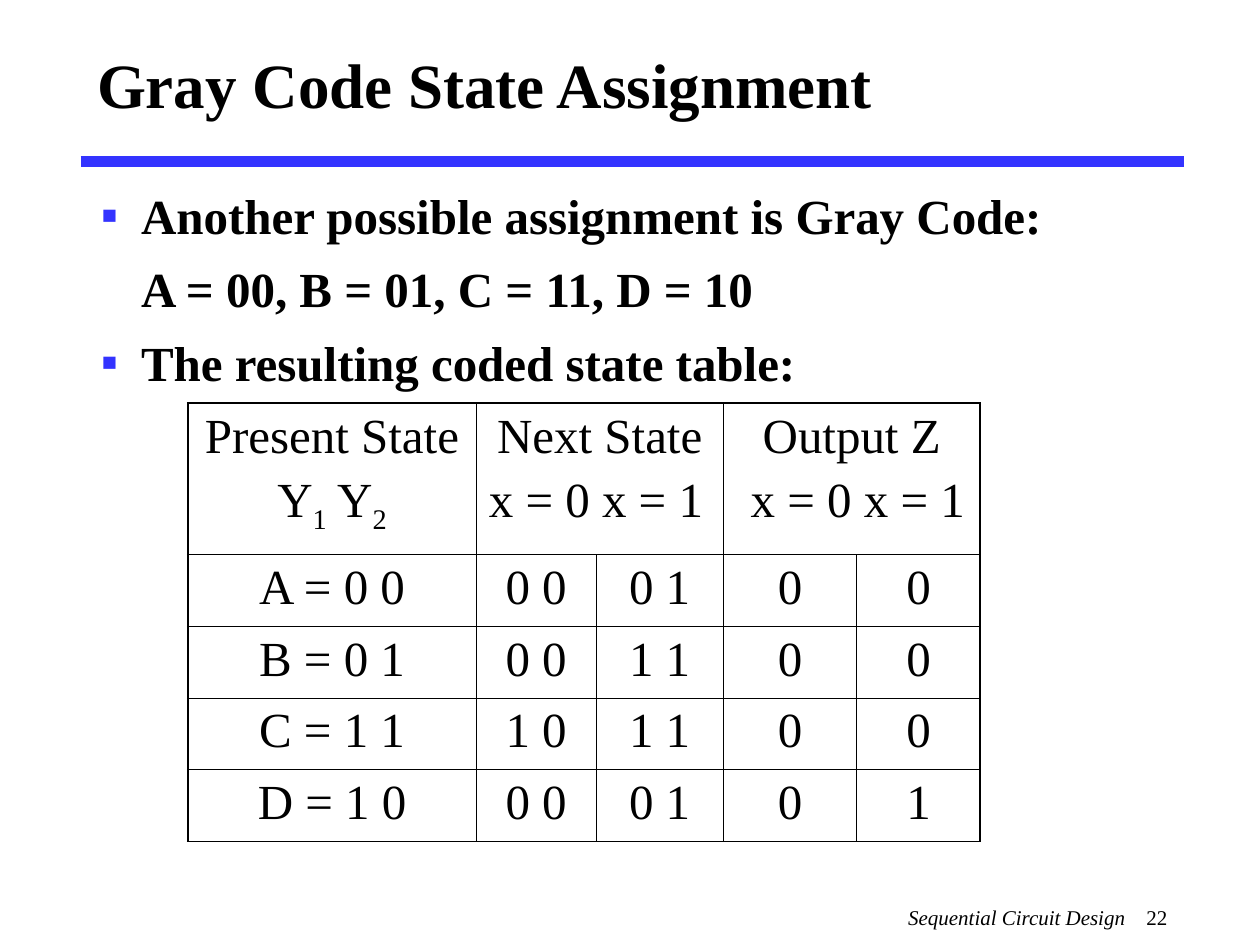
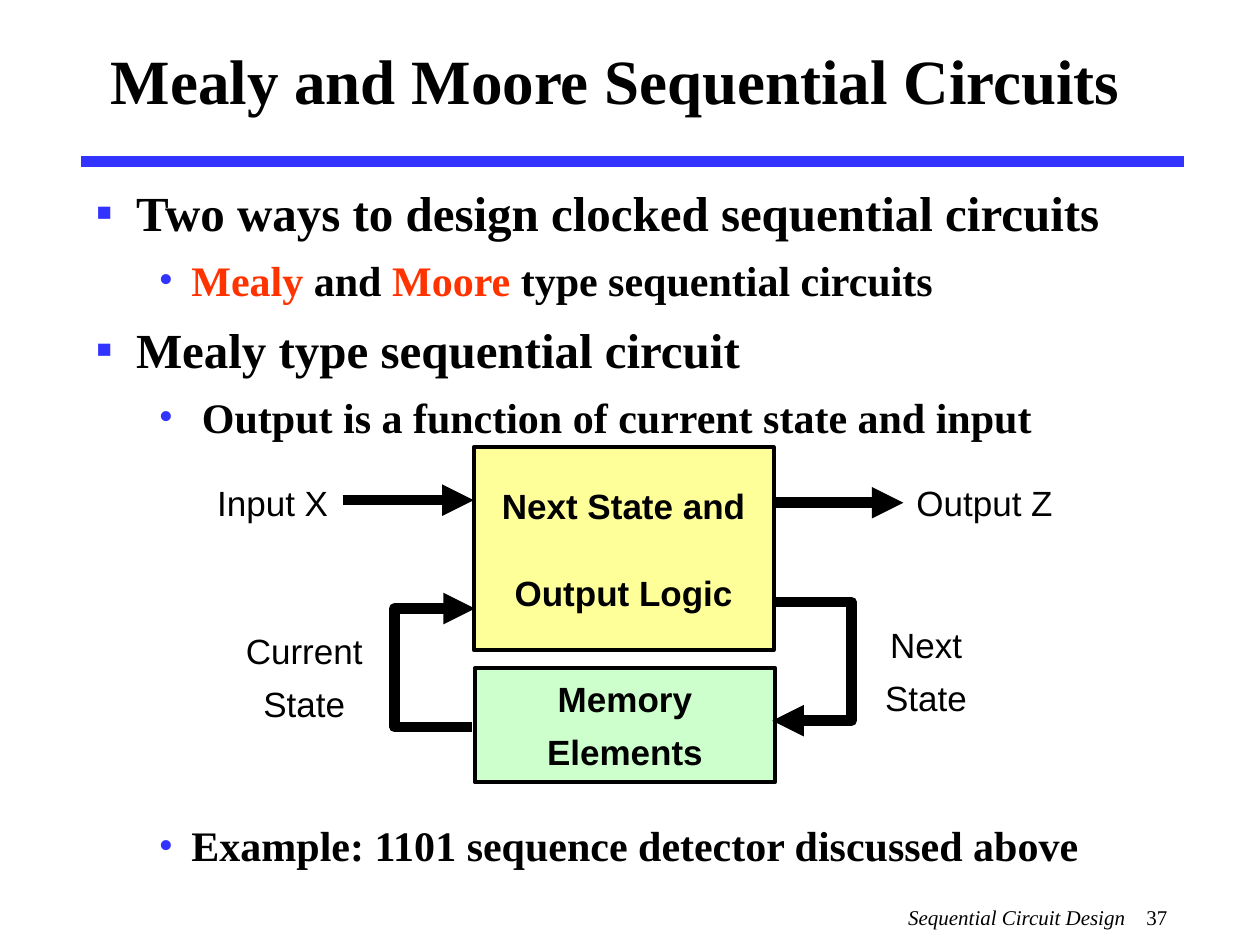
from lxml import etree
from pptx import Presentation
from pptx.dml.color import RGBColor
from pptx.enum.shapes import MSO_CONNECTOR, MSO_SHAPE
from pptx.enum.text import MSO_ANCHOR, MSO_AUTO_SIZE, PP_ALIGN
from pptx.oxml.ns import qn
from pptx.util import Inches, Pt

STRAIGHT = MSO_CONNECTOR.STRAIGHT
RECTANGLE = MSO_SHAPE.RECTANGLE
TOP, MIDDLE = MSO_ANCHOR.TOP, MSO_ANCHOR.MIDDLE
NO_AUTOFIT = MSO_AUTO_SIZE.NONE
LEFT, CENTER = PP_ALIGN.LEFT, PP_ALIGN.CENTER

BLACK = RGBColor(0x00, 0x00, 0x00)
BLUE = RGBColor(0x33, 0x33, 0xFF)
ORANGE = RGBColor(0xFF, 0x33, 0x00)
YELLOW = RGBColor(0xFF, 0xFF, 0x99)
GREEN = RGBColor(0xCC, 0xFF, 0xCC)

SERIF, SANS = "Times New Roman", "Arial"
FOOTER_TEXT = "Sequential Circuit Design"
TITLE_FONT = {"name": SERIF, "size": Pt(36), "bold": True}
FOOTER_FONT = {"name": SERIF, "size": Pt(12)}
TABLE_FONT = {"name": SERIF, "size": Pt(28)}
LABEL_FONT = {"name": SANS, "size": Pt(20)}
BLOCK_FONT = {**LABEL_FONT, "bold": True}
LIST_STYLES = {
    0: {"size": 28, "margin": 0.32, "indent": -0.32, "bullet": "▪", "before": 8.5},
    1: {"size": 24, "margin": 0.76, "indent": -0.26, "bullet": "•", "before": 7.4},
}
SUBSCRIPT = {"baseline": -25000}
OUTER_BORDER, INNER_BORDER = Pt(1.08), Pt(0.45)


def set_values(target, values):
    for name, value in values.items():
        setattr(target, name, value)


def add_element(parent, tag, **attributes):
    values = {name: str(value) for name, value in attributes.items()}
    return etree.SubElement(parent, qn(tag), values)


def add_solid_fill(parent, color):
    add_element(add_element(parent, "a:solidFill"), "a:srgbClr", val=color)


def box(left, top, width, height):
    return [Inches(value) for value in (left, top, width, height)]


class SlideBuilder:
    def __init__(self, presentation):
        self.presentation = presentation
        self.slide = None

    def start(self, title, title_box, number):
        layout = self.presentation.slide_layouts[1]
        self.slide = self.presentation.slides.add_slide(layout)
        self.place(self.slide.shapes.title, title_box)
        frame = self.slide.shapes.title.text_frame
        self.frame(frame, MIDDLE)
        self.paragraphs(frame, [title], TITLE_FONT, LEFT)
        self.line((0.64, 1.28), (9.4, 1.28), BLUE)
        self.footer(number)

    def place(self, shape, bounds):
        set_values(shape, dict(zip(("left", "top", "width", "height"), box(*bounds))))

    def frame(self, frame, anchor, inset=None):
        set_values(frame, {"word_wrap": True, "auto_size": NO_AUTOFIT,
                           "vertical_anchor": anchor})
        if inset is not None:
            sides = ("margin_left", "margin_top", "margin_right", "margin_bottom")
            set_values(frame, dict.fromkeys(sides, Inches(inset)))

    def runs(self, paragraph, content, font):
        parts = [(content, {})] if isinstance(content, str) else content
        for text, changes in parts:
            values = {**font, **changes}
            color = values.pop("color", BLACK)
            baseline = values.pop("baseline", None)
            run = paragraph.add_run()
            run.text = text
            set_values(run.font, values)
            run.font.color.rgb = color
            if baseline is not None:
                run._r.get_or_add_rPr().set("baseline", str(baseline))

    def paragraphs(self, frame, lines, font, align=CENTER, before=0):
        for index, content in enumerate(lines):
            paragraph = frame.paragraphs[0] if index == 0 else frame.add_paragraph()
            set_values(paragraph, {"alignment": align,
                                   "space_before": Pt(before if index else 0)})
            self.runs(paragraph, content, font)

    def footer(self, number):
        shape = self.slide.shapes.add_textbox(*box(7.11, 7.13, 2.33, 0.37))
        self.frame(shape.text_frame, TOP)
        paragraph = shape.text_frame.paragraphs[0]
        tabs = add_element(paragraph._p.get_or_add_pPr(), "a:tabLst")
        add_element(tabs, "a:tab", pos=Inches(1.89), algn="l")
        parts = [(FOOTER_TEXT, {"italic": True}), (f"\t{number}", {})]
        self.runs(paragraph, parts, FOOTER_FONT)

    def bullets(self, bounds, items):
        shape = self.slide.placeholders[1]
        self.place(shape, bounds)
        frame = shape.text_frame
        self.frame(frame, TOP)
        frame.margin_top = Inches(0.09)
        for index, (level, content, changes) in enumerate(items):
            style = {**LIST_STYLES[level], **changes}
            paragraph = frame.paragraphs[0] if index == 0 else frame.add_paragraph()
            properties = paragraph._p.get_or_add_pPr()
            properties.set("marL", str(Inches(style["margin"])))
            properties.set("indent", str(Inches(style["indent"])))
            if style["bullet"]:
                color = add_element(properties, "a:buClr")
                add_element(color, "a:srgbClr", val=BLUE)
                add_element(properties, "a:buFont", typeface=SERIF)
                add_element(properties, "a:buChar", char=style["bullet"])
            else:
                add_element(properties, "a:buNone")
            set_values(paragraph, {"level": level, "alignment": LEFT,
                                   "space_before": Pt(style["before"] if index else 0)})
            font = {"name": SERIF, "size": Pt(style["size"]), "bold": True}
            self.runs(paragraph, content, font)

    def block(self, bounds, fill, lines, before):
        shape = self.slide.shapes.add_shape(RECTANGLE, *box(*bounds))
        shape.shadow.inherit = False
        shape.fill.solid()
        shape.fill.fore_color.rgb = fill
        self.stroke(shape, BLACK, 2.25)
        self.frame(shape.text_frame, MIDDLE, 0)
        self.paragraphs(shape.text_frame, lines, BLOCK_FONT, before=before)

    def label(self, bounds, lines):
        shape = self.slide.shapes.add_textbox(*box(*bounds))
        self.frame(shape.text_frame, TOP, 0)
        self.paragraphs(shape.text_frame, lines, LABEL_FONT, before=6)

    def stroke(self, shape, color, width, arrow=False):
        shape.line.color.rgb = color
        shape.line.width = Pt(width)
        if arrow:
            line = shape.line._get_or_add_ln()
            add_element(line, "a:round")
            add_element(line, "a:tailEnd", type="triangle")

    def line(self, start, end, color=BLACK, arrow=False):
        points = [Inches(value) for value in (*start, *end)]
        connector = self.slide.shapes.add_connector(STRAIGHT, *points)
        self.stroke(connector, color, 6, arrow)
        add_element(connector._element.spPr, "a:effectLst")

    def elbow_arrow(self, points):
        corners = [(Inches(x), Inches(y)) for x, y in points]
        builder = self.slide.shapes.build_freeform(*corners[0])
        builder.add_line_segments(corners[1:], close=False)
        shape = builder.convert_to_shape()
        shape.shadow.inherit = False
        shape.fill.background()
        self.stroke(shape, BLACK, 6, arrow=True)

    def borders(self, cell, edges):
        properties = cell._tc.get_or_add_tcPr()
        for index, (side, outer) in enumerate(edges.items()):
            width = OUTER_BORDER if outer else INNER_BORDER
            border = add_element(properties, f"a:ln{side}", w=width)
            add_solid_fill(border, BLACK)
            properties.insert(index, border)

    def table(self, bounds, widths, heights, rows, merges):
        shape = self.slide.shapes.add_table(len(rows), len(widths), *box(*bounds))
        table = shape.table
        set_values(table, {"first_row": False, "horz_banding": False})
        for column, width in zip(table.columns, widths):
            column.width = Inches(width)
        for row, height in zip(table.rows, heights):
            row.height = Inches(height)
        for first, last in merges:
            table.cell(*first).merge(table.cell(*last))
        for row_index, row in enumerate(rows):
            for column_index, lines in enumerate(row):
                cell = table.cell(row_index, column_index)
                cell.fill.background()
                last = column_index + (cell.span_width if cell.is_merge_origin else 1)
                self.borders(cell, {"L": column_index == 0, "R": last == len(widths),
                                    "T": row_index == 0,
                                    "B": row_index == len(rows) - 1})
                set_values(cell, {"margin_left": Inches(0.1), "margin_right": Inches(0.1),
                                  "margin_top": Inches(0.05),
                                  "margin_bottom": Inches(0.05)})
                if lines:
                    self.paragraphs(cell.text_frame, lines, TABLE_FONT, before=5.7)
        return table


def build_gray_code(builder):
    builder.start("Gray Code State Assignment", (0.67, 0.1, 8.67, 1.12), 22)
    builder.bullets((0.7, 1.38, 8.5, 1.95), [
        (0, "Another possible assignment is Gray Code:", {}),
        (0, "A = 00, B = 01, C = 11, D = 10", {"indent": 0, "bullet": None}),
        (0, "The resulting coded state table:", {}),
    ])
    state_bits = [("Y", {}), ("1", SUBSCRIPT), (" Y", {}), ("2", SUBSCRIPT)]
    header = [["Present State", state_bits], ["Next State", "x = 0 x = 1"], [],
              ["Output Z", " x = 0 x = 1"], []]
    states = [
        ("A = 0 0", "0 0", "0 1", "0", "0"),
        ("B = 0 1", "0 0", "1 1", "0", "0"),
        ("C = 1 1", "1 0", "1 1", "0", "0"),
        ("D = 1 0", "0 0", "0 1", "0", "1"),
    ]
    rows = [header] + [[[value] for value in state] for state in states]
    table = builder.table((1.49, 3.2, 6.29, 3.48), [2.29, 0.95, 1.01, 1.06, 0.98],
                          [1.2] + [0.57] * len(states), rows,
                          [((0, 1), (0, 2)), ((0, 3), (0, 4))])
    table.cell(0, 1).text_frame.paragraphs[1].alignment = LEFT


def build_mealy_moore(builder):
    builder.start("Mealy and Moore Sequential Circuits", (0.78, 0.07, 8.5, 1.12), 37)
    builder.bullets((0.66, 1.36, 8.76, 5.5), [
        (0, "Two ways to design clocked sequential circuits", {}),
        (1, [("Mealy", {"color": ORANGE}), (" and ", {}), ("Moore", {"color": ORANGE}),
             (" type sequential circuits", {})], {}),
        (0, "Mealy type sequential circuit", {}),
        (1, " Output is a function of current state and input", {}),
        (1, "Example: 1101 sequence detector discussed above", {"before": 216}),
    ])
    builder.block((3.76, 3.55, 2.38, 1.61), YELLOW,
                  ["Next State and", "Output Logic"], 25.6)
    builder.block((3.77, 5.3, 2.38, 0.91), GREEN, ["Memory", "Elements"], 6)
    builder.line((2.72, 3.97), (3.76, 3.97), arrow=True)
    builder.elbow_arrow([(6.15, 4.78), (6.76, 4.78), (6.76, 5.72), (6.13, 5.72)])
    builder.line((6.13, 3.99), (7.17, 3.99), arrow=True)
    builder.elbow_arrow([(3.75, 5.77), (3.13, 5.77), (3.13, 4.83), (3.77, 4.83)])
    builder.label((1.65, 3.82, 1.03, 0.33), ["Input X"])
    builder.label((7.2, 3.82, 1.23, 0.33), ["Output Z"])
    builder.label((6.86, 4.95, 0.98, 0.74), ["Next", "State"])
    builder.label((1.8, 5, 1.23, 0.74), ["Current", "State"])


def main():
    presentation = Presentation()
    set_values(presentation, {"slide_width": Inches(10), "slide_height": Inches(7.5)})
    builder = SlideBuilder(presentation)
    build_gray_code(builder)
    build_mealy_moore(builder)
    presentation.save("out.pptx")


if __name__ == "__main__":
    main()
